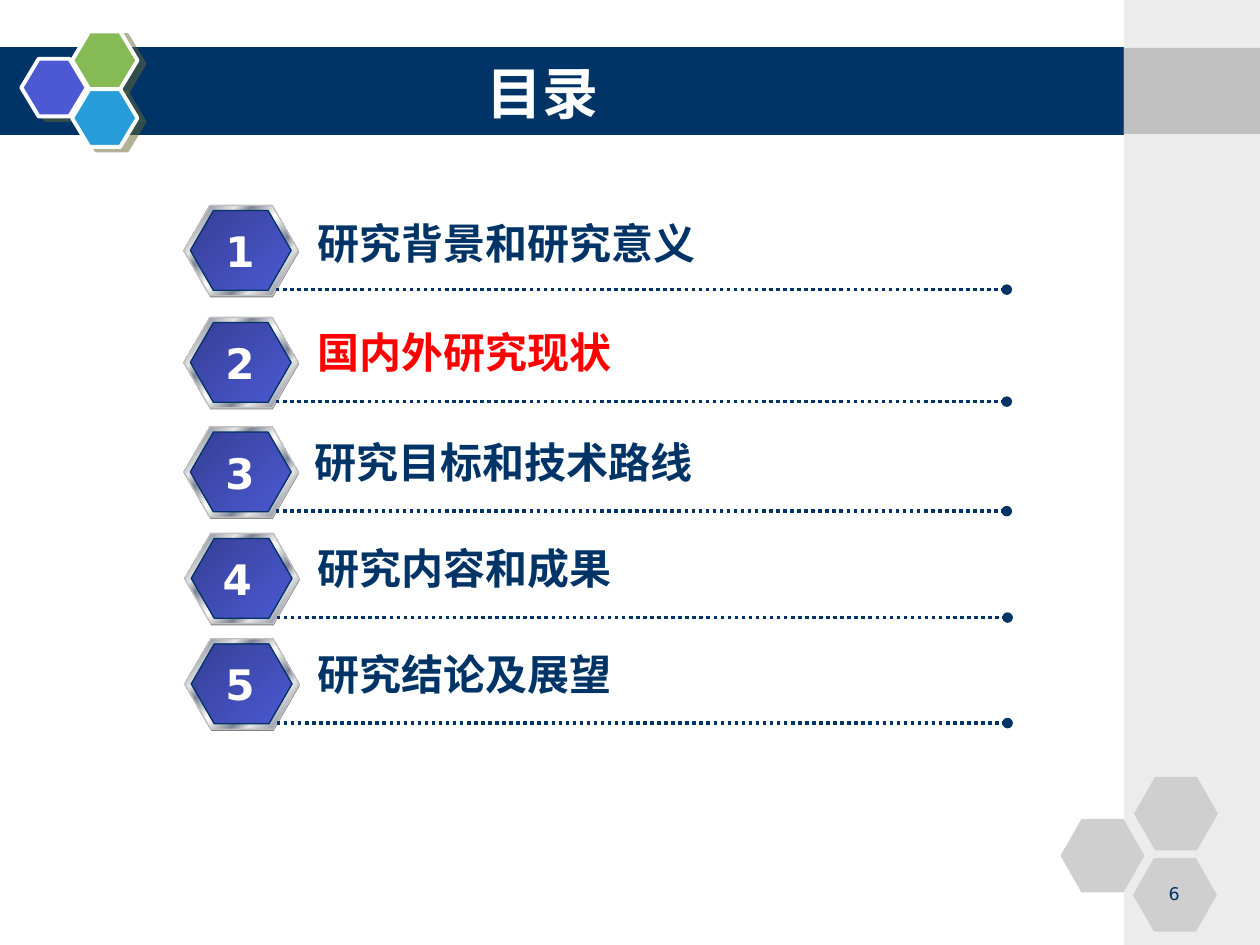
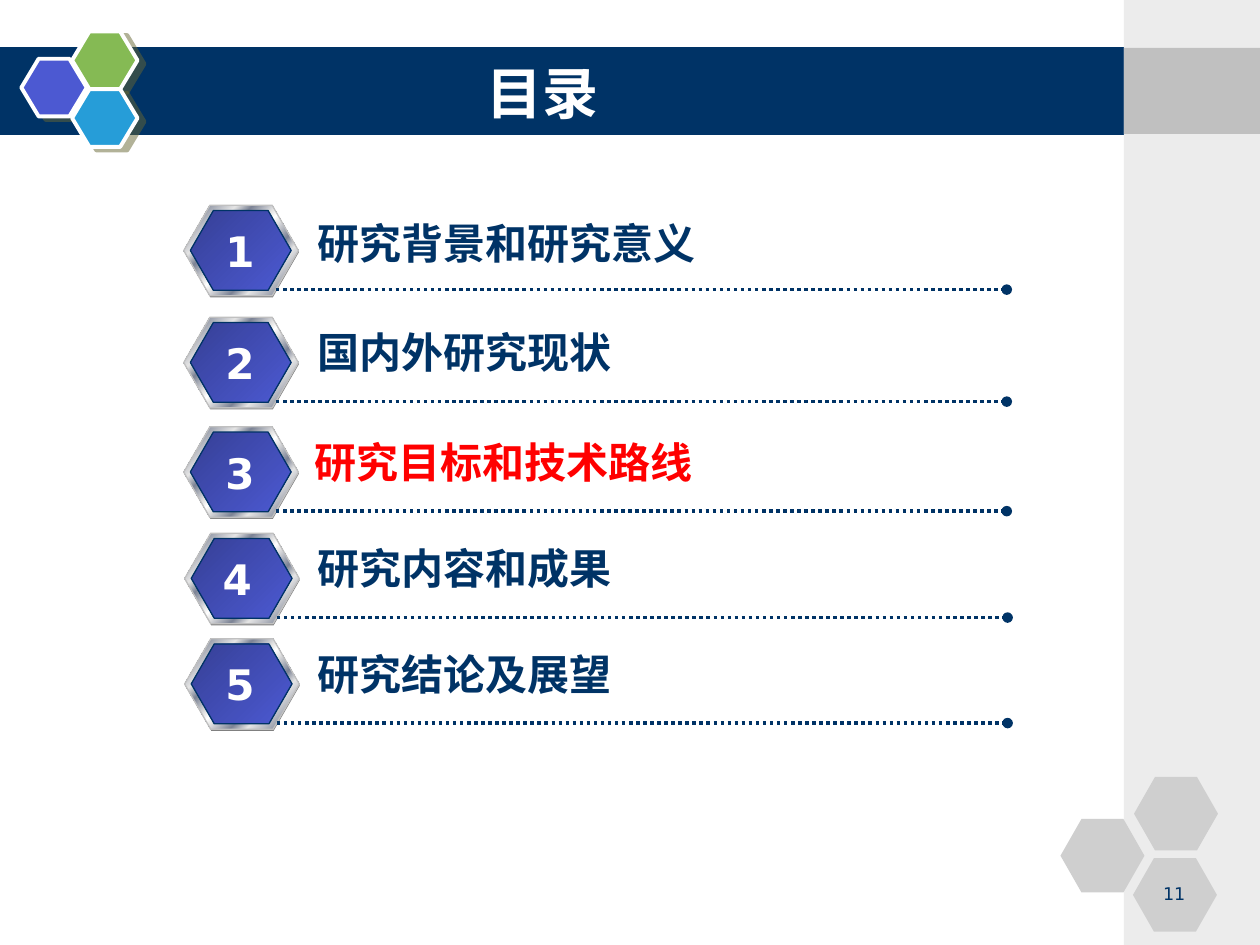
from lxml import etree
from pptx import Presentation
from pptx.dml.color import RGBColor
from pptx.enum.dml import MSO_LINE
from pptx.enum.shapes import MSO_CONNECTOR, MSO_SHAPE
from pptx.enum.text import MSO_ANCHOR, PP_ALIGN
from pptx.oxml import parse_xml
from pptx.oxml.ns import nsdecls, qn
from pptx.util import Pt

HEXAGON, RECT = MSO_SHAPE.HEXAGON, MSO_SHAPE.RECTANGLE
STRAIGHT, DOTTED = MSO_CONNECTOR.STRAIGHT, MSO_LINE.ROUND_DOT
CENTER, MIDDLE = PP_ALIGN.CENTER, MSO_ANCHOR.MIDDLE

NAVY = RGBColor(0x00, 0x33, 0x66)
WHITE = RGBColor(0xFF, 0xFF, 0xFF)
RED = RGBColor(0xFF, 0x00, 0x00)
INDIGO = RGBColor(0x4C, 0x59, 0xD2)
DEEP_INDIGO = RGBColor(0x36, 0x40, 0x96)
GREEN = RGBColor(0x85, 0xBA, 0x54)
BLUE = RGBColor(0x26, 0x9D, 0xD8)
OLIVE = RGBColor(0x66, 0x66, 0x33)
PALE = RGBColor(0xEC, 0xEC, 0xEC)
SILVER = RGBColor(0xC0, 0xC0, 0xC0)
LIGHT_GRAY = RGBColor(0xCF, 0xCF, 0xCF)
GRAY = RGBColor(0x80, 0x80, 0x80)
CHROME = RGBColor(0xE6, 0xE6, 0xE6)
STEEL = RGBColor(0x7D, 0x84, 0x96)

RIM = [(0, CHROME), (8, STEEL), (26, CHROME), (34, STEEL), (46, CHROME), (50, WHITE),
       (54, CHROME), (66, STEEL), (74, CHROME), (92, STEEL), (100, CHROME)]
FACE = [(0, DEEP_INDIGO), (100, INDIGO)]


def add_shape(s, kind, x, y, w, h, fill, line=None, width=0.75, adj=None):
    sp = s.shapes.add_shape(kind, Pt(x), Pt(y), Pt(w), Pt(h))
    if adj:
        sp.adjustments[0] = adj
    if isinstance(fill, list):
        stops = "".join(f'<a:gs pos="{pos * 1000}"><a:srgbClr val="{color}"/></a:gs>'
                        for pos, color in fill)
        sp.element.spPr.find(qn("a:prstGeom")).addnext(parse_xml(
            f'<a:gradFill {nsdecls("a")} rotWithShape="1"><a:gsLst>{stops}</a:gsLst>'
            '<a:lin ang="2700000" scaled="0"/></a:gradFill>'))
    else:
        sp.fill.solid()
        sp.fill.fore_color.rgb = fill
    if line:
        sp.line.color.rgb = line
        sp.line.width = Pt(width)
    else:
        sp.line.fill.background()
    sp.shadow.inherit = False
    return sp


def add_label(s, x, y, w, text, font, color, wrap):
    sp = s.shapes.add_textbox(Pt(x), Pt(y), Pt(w), Pt(36.7))
    tf = sp.text_frame
    tf.word_wrap = wrap
    p = tf.paragraphs[0]
    p.text = text
    p.font.name, p.font.size, p.font.bold = font, Pt(24), True
    p.font.color.rgb = color


prs = Presentation()
prs.slide_width, prs.slide_height = Pt(720), Pt(540)
layout = prs.slide_layouts[5]
title = layout.placeholders[0]
title.left, title.top, title.width, title.height = Pt(90), Pt(30.2), Pt(440), Pt(44.6)
slides = [prs.slides.add_slide(layout) for _ in range(2)]

s = slides[0]
fb = s.shapes.build_freeform(-2, 27.4, scale=Pt(1))
fb.add_line_segments([(643.4, 27.4), (643, 76.6), (-2, 77)])
band = fb.convert_to_shape()
band.fill.solid()
band.fill.fore_color.rgb = NAVY
band.line.fill.background()
band.shadow.inherit = False
decor = [band]
for x, y, color in [(12.2, 33.6, INDIGO), (41.2, 18, GREEN), (41.2, 51, BLUE)]:
    sp = add_shape(s, HEXAGON, x, y, 37.4, 33, color, WHITE, 2.25, 0.3)
    sp.element.spPr.find(qn("a:effectLst")).append(parse_xml(
        f'<a:outerShdw {nsdecls("a")} dist="57150" dir="1620000" algn="ctr" rotWithShape="0">'
        f'<a:srgbClr val="{OLIVE}"><a:alpha val="50000"/></a:srgbClr></a:outerShdw>'))
    decor.append(sp)
decor.append(add_shape(s, RECT, 642.2, 0, 77.8, 540, PALE))
decor.append(add_shape(s, RECT, 642.2, 27.4, 77.8, 49.2, SILVER))
for x, y in [(606, 468), (648, 444), (647.4, 490.4)]:
    decor.append(add_shape(s, HEXAGON, x, y, 48, 42, LIGHT_GRAY, adj=0.286))
for sp in decor:
    layout.shapes.element.append(sp.element)

rows = [
    ("研究背景和研究意义", 117.3, 105, 174.2, 121, 121.7),
    ("国内外研究现状", 181.3, 105, 174.2, 183.2, 121.7),
    ("研究目标和技术路线", 243.9, 105, 172.4, 245.8, 121.7),
    ("研究内容和成果", 304.7, 105.5, 174.2, 306.4, 120.2),
    ("研究结论及展望", 365, 105.5, 174.2, 366.8, 121.7),
]

for s, current, page in zip(slides, (2, 3), ("6", "11")):
    s.shapes.title.text = "目录"
    s.shapes.title.text_frame.vertical_anchor = MIDDLE
    p = s.shapes.title.text_frame.paragraphs[0]
    p.alignment = CENTER
    p.font.name, p.font.size, p.font.bold = "Times New Roman", Pt(32), True
    p.font.color.rgb = WHITE

    for number, (text, top, left, text_left, text_top, number_left) in enumerate(rows, 1):
        add_shape(s, HEXAGON, left + 0.3, top + 0.9, 65.5, 51.8, GRAY, adj=0.289)
        add_shape(s, HEXAGON, left, top, 65.5, 51.8, RIM, SILVER, adj=0.289)
        add_shape(s, HEXAGON, left + 3.8, top + 3, 57.6, 45.6, FACE, NAVY, adj=0.289)
        y = Pt(top + 48.2)
        rule = s.shapes.add_connector(STRAIGHT, Pt(left + 52.7), y, Pt(left + 470.3), y)
        rule.line.color.rgb = NAVY
        rule.line.width = Pt(2)
        rule.line.dash_style = DOTTED
        etree.SubElement(rule.line._get_or_add_ln(), qn("a:tailEnd"), type="oval")
        etree.SubElement(rule.element.spPr, qn("a:effectLst"))
        add_label(s, text_left, text_top, 400, text, "Noto Sans CJK SC",
                  RED if number == current else NAVY, True)
        add_label(s, number_left, top + 8, 31.7, str(number), "DejaVu Sans", WHITE, False)

    sp = add_shape(s, RECT, 653, 501.8, 36, 18, LIGHT_GRAY)
    p = sp.text_frame.paragraphs[0]
    p.text = page
    p.alignment = CENTER
    p.font.name, p.font.size = "DejaVu Sans", Pt(10)
    p.font.color.rgb = NAVY

prs.save("out.pptx")
